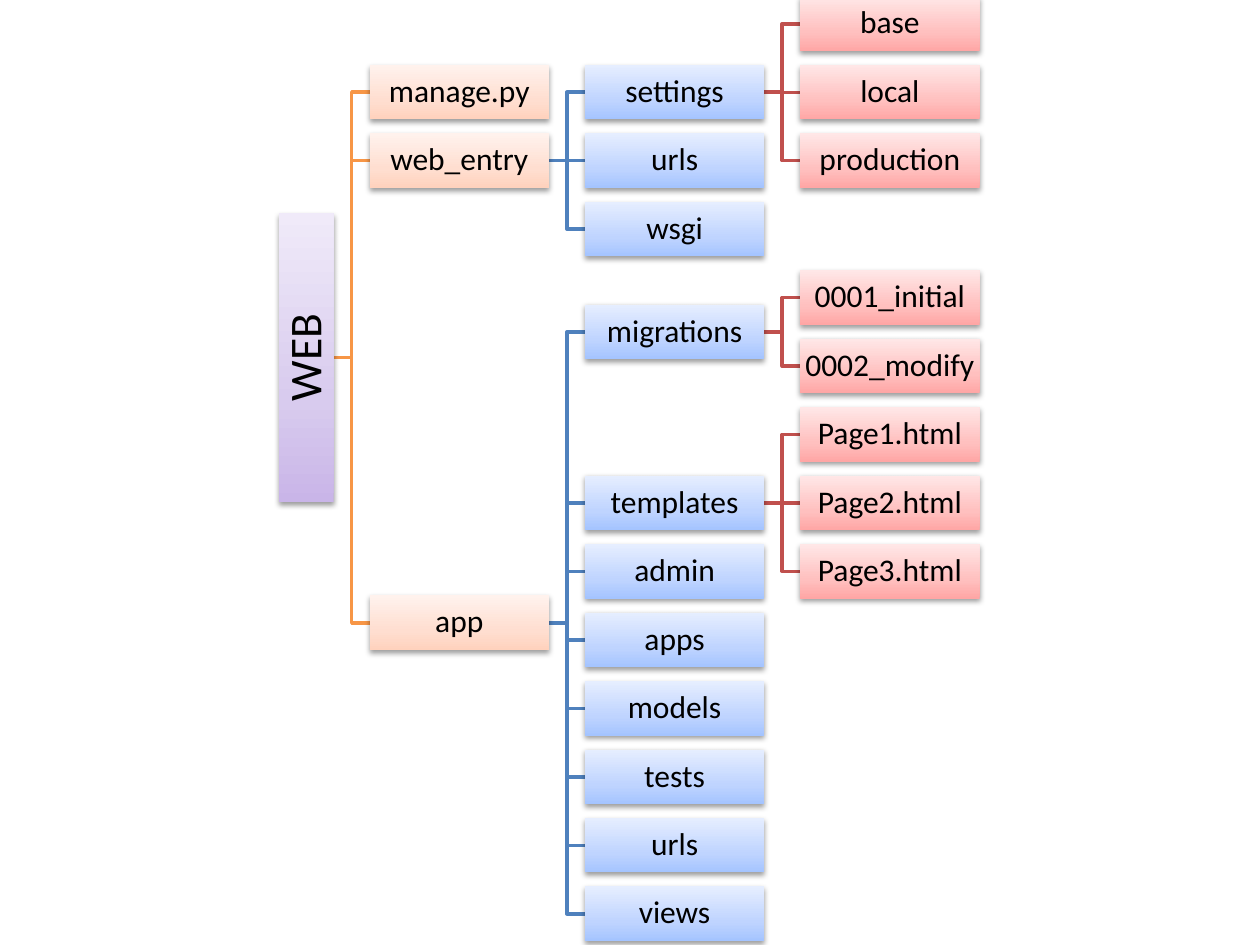
from dataclasses import dataclass

from lxml import etree
from pptx import Presentation
from pptx.dml.color import RGBColor
from pptx.enum.shapes import MSO_CONNECTOR, MSO_SHAPE
from pptx.enum.text import MSO_ANCHOR, PP_ALIGN
from pptx.oxml import parse_xml
from pptx.oxml.ns import qn
from pptx.util import Cm, Pt

RECT = MSO_SHAPE.RECTANGLE
LINE = MSO_CONNECTOR.STRAIGHT
MID = MSO_ANCHOR.MIDDLE
MIDDLE = PP_ALIGN.CENTER
FONT = "Calibri"
NS = 'xmlns:a="http://schemas.openxmlformats.org/drawingml/2006/main"'

WIDE, HIGH = 3.62, 1.1
GAP = 0.72
STEP = WIDE + GAP
ROW = 1.38
TOP = 0.48
LEFT = 7.45
ROOT = 5.82

HEX = {
    "text": "000000",
    "line1": "F79646",
    "line2": "4F81BD",
    "line3": "C0504D",
    "fill0": "C9B5E8 D8CBEE F0EAF9",
    "fill1": "FFD2BD FFDED0 FFF2ED",
    "fill2": "A4C4FF BFD4FF E6EEFF",
    "fill3": "FFA6A5 FFC0BF FFE7E7",
}


@dataclass
class Node:
    name: str
    row: float
    kids: tuple["Node", ...] = ()


def leaves(first: int, *names: str) -> tuple[Node, ...]:
    return tuple(Node(name, first + i) for i, name in enumerate(names))


def branch(name: str, *kids: Node) -> Node:
    return Node(name, (kids[0].row + kids[-1].row) / 2, kids)


TREE = branch(
    "WEB",
    Node("manage.py", 1),
    branch(
        "web_entry",
        branch("settings", *leaves(0, "base", "local", "production")),
        *leaves(2, "urls", "wsgi"),
    ),
    branch(
        "app",
        branch("migrations", *leaves(4, "0001_initial", "0002_modify")),
        branch("templates", *leaves(6, "Page1.html", "Page2.html", "Page3.html")),
        *leaves(8, "admin", "apps", "models", "tests", "urls", "views"),
    ),
)


def height(node: Node) -> float:
    return TOP + node.row * ROW


def link(shapes, node: Node, kid: Node, tier: int) -> None:
    end = LEFT + (tier - 1) * STEP
    start, bend = end - GAP, end - GAP / 2
    y, to = height(node), height(kid)
    if node.row == kid.row:
        wire = shapes.add_connector(LINE, Cm(start), Cm(y), Cm(end), Cm(to))
        etree.SubElement(wire._element.spPr, qn("a:effectLst"))
    else:
        pen = shapes.build_freeform(Cm(start), Cm(y))
        turns = [(bend, y), (bend, to), (end, to)]
        pen.add_line_segments([(Cm(a), Cm(b)) for a, b in turns], close=False)
        wire = pen.convert_to_shape()
        wire.fill.background()
        wire.shadow.inherit = False
    wire.line.color.rgb = RGBColor.from_string(HEX[f"line{tier}"])
    wire.line.width = Pt(2)


def paint(box, tier: int) -> None:
    stops = "".join(
        f'<a:gs pos="{pos}"><a:srgbClr val="{tone}"/></a:gs>'
        for pos, tone in zip((0, 35000, 100000), HEX[f"fill{tier}"].split())
    )
    grad = parse_xml(
        f'<a:gradFill {NS} rotWithShape="0"><a:gsLst>{stops}</a:gsLst>'
        '<a:lin ang="16200000" scaled="0"/></a:gradFill>'
    )
    glow = parse_xml(
        f'<a:effectLst {NS}><a:outerShdw blurRad="40000" dist="20000" dir="5400000" '
        'rotWithShape="0"><a:srgbClr val="000000"><a:alpha val="38000"/>'
        "</a:srgbClr></a:outerShdw></a:effectLst>"
    )
    box.line.fill.background()
    props = box._element.spPr
    props.find(qn("a:prstGeom")).addnext(grad)
    props.append(glow)


def label(box, name: str, size: int) -> None:
    frame = box.text_frame
    frame.word_wrap = True
    frame.vertical_anchor = MID
    frame.margin_left = frame.margin_right = Cm(0.03)
    frame.margin_top = frame.margin_bottom = Cm(0.03)
    para = frame.paragraphs[0]
    para.alignment = MIDDLE
    para.line_spacing = 0.9
    run = para.add_run()
    run.text = name
    run.font.name = FONT
    run.font.size = Pt(size)
    run.font.color.rgb = RGBColor.from_string(HEX["text"])


def block(shapes, node: Node, tier: int) -> None:
    wide = WIDE if tier else ROOT
    left = LEFT + (tier - 1) * STEP if tier else LEFT - GAP - (HIGH + ROOT) / 2
    top = height(node) - HIGH / 2
    box = shapes.add_shape(RECT, Cm(left), Cm(top), Cm(wide), Cm(HIGH))
    box.rotation = 0 if tier else 270
    paint(box, tier)
    label(box, node.name, 18 if tier else 26)


def wires(shapes, node: Node, tier: int = 0) -> None:
    for kid in node.kids:
        link(shapes, node, kid, tier + 1)
        wires(shapes, kid, tier + 1)


def blocks(shapes, node: Node, tier: int = 0) -> None:
    block(shapes, node, tier)
    for kid in node.kids:
        blocks(shapes, kid, tier + 1)


deck = Presentation()
deck.slide_width, deck.slide_height = Cm(25.4), Cm(19.05)
slide = deck.slides.add_slide(deck.slide_layouts[6])
wires(slide.shapes, TREE)
blocks(slide.shapes, TREE)
deck.save("out.pptx")
